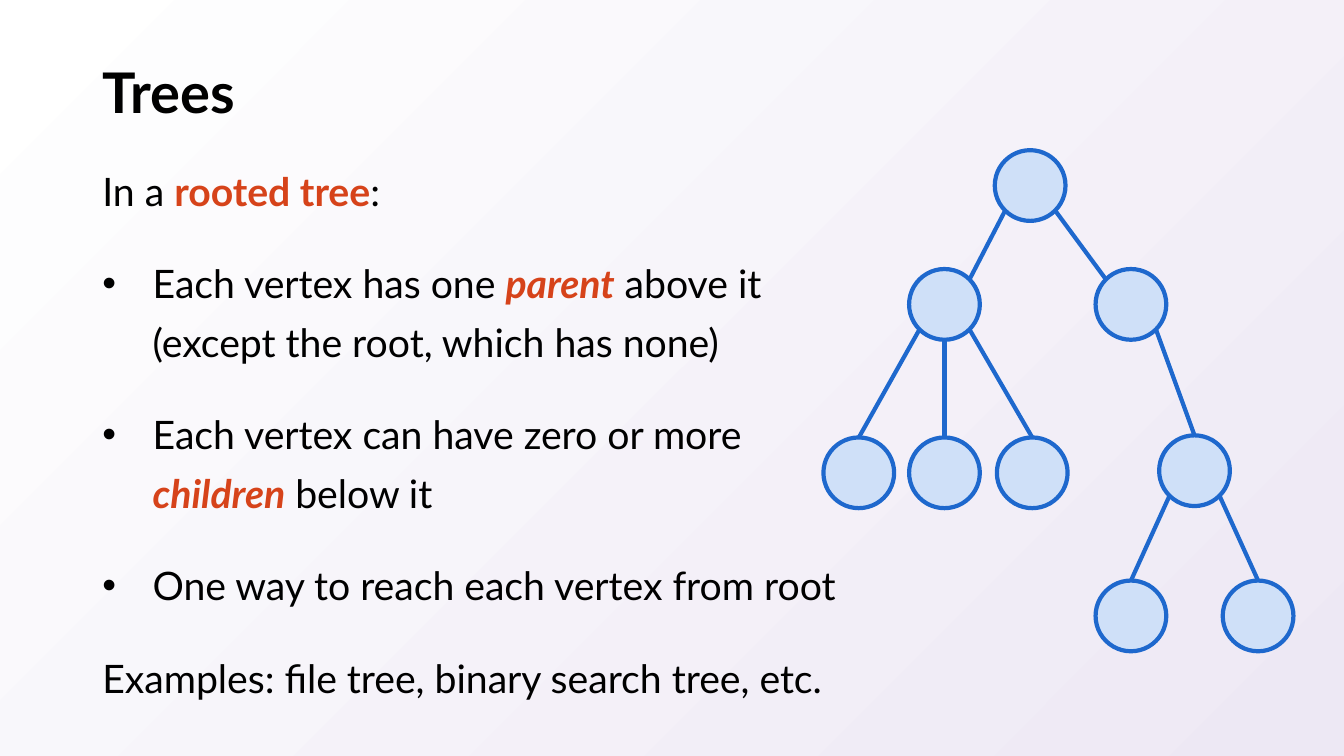
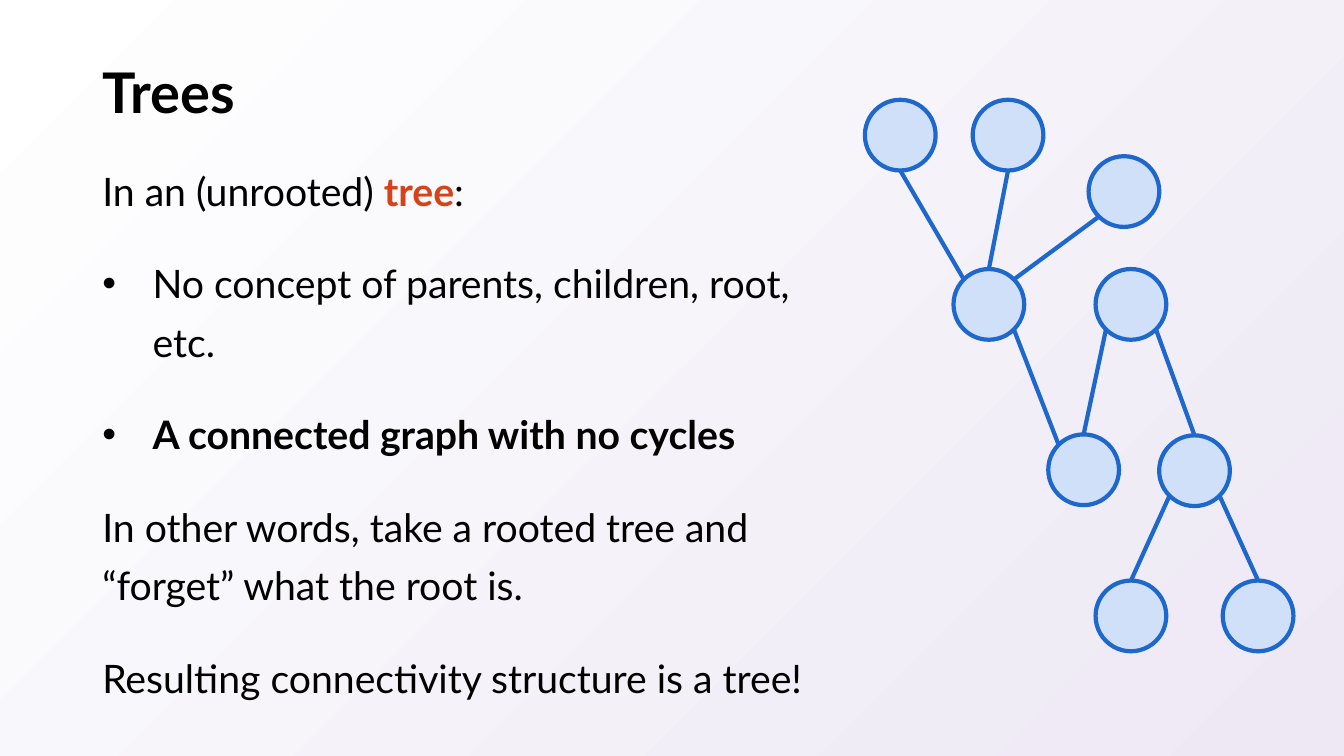
from dataclasses import dataclass
from math import cos, pi, sin

from pptx import Presentation
from pptx.dml.color import RGBColor
from pptx.enum.shapes import MSO_CONNECTOR, MSO_SHAPE
from pptx.enum.text import MSO_ANCHOR
from pptx.oxml.xmlchemy import OxmlElement
from pptx.util import Pt


@dataclass(frozen=True)
class Theme:
    font: str = "Lato"
    ink: str = "000000"
    key: str = "D6431A"
    disc: str = "CFE0F8"
    edge: str = "1E68CD"
    fade: tuple = ("FFFFFF", "EDE8F4")
    title: int = 40
    body: int = 28
    line: int = 3
    node: float = 50.5
    left: float = 66
    hang: int = 36


THEME = Theme()

TOP, UP_LEFT, LEFT, LOW_LEFT, LOW, LOW_RIGHT, RIGHT, UP_RIGHT = range(8)

PLAIN, KEY, TERM, BOLD = "plain", "key", "term", "bold"

BRANCH_NODES = {
    "fork": (782.6, 192.2),
    "stem": (828, 311),
    "leaf1": (782.6, 414.7),
    "leaf2": (873.4, 414.7),
}
BRANCH_EDGES = [
    ("fork", LOW_RIGHT, "stem", TOP),
    ("stem", LOW_LEFT, "leaf1", TOP),
    ("stem", LOW_RIGHT, "leaf2", TOP),
]

ROOTED_TEXT = [
    (False, [("In a ", PLAIN), ("rooted tree", KEY), (":", PLAIN)]),
    (True, [("Each vertex has one ", PLAIN), ("parent", TERM),
            (" above it (except the root, which has none)", PLAIN)]),
    (True, [("Each vertex can have zero or more ", PLAIN),
            ("children", TERM), (" below it", PLAIN)]),
    (True, [("One way to reach each vertex from root", PLAIN)]),
    (False, [("Examples: file tree, binary search tree, etc.", PLAIN)]),
]
ROOTED_NODES = {
    "root": (710.6, 107.3),
    "child": (649.4, 192.2),
    "kid1": (588.2, 312.5),
    "kid2": (649.4, 312.5),
    "kid3": (712.1, 312.5),
}
ROOTED_EDGES = [
    ("root", LOW_LEFT, "child", UP_RIGHT),
    ("root", LOW_RIGHT, "fork", UP_LEFT),
    ("child", LOW_LEFT, "kid1", TOP),
    ("child", LOW, "kid2", TOP),
    ("child", LOW_RIGHT, "kid3", TOP),
]

FREE_TEXT = [
    (False, [("In an (unrooted) ", PLAIN), ("tree", KEY), (":", PLAIN)]),
    (True, [("No concept of parents, children, root, etc.", PLAIN)]),
    (True, [("A connected graph with no cycles", BOLD)]),
    (False, [("In other words, take a rooted tree and “forget” "
              "what the root is.", PLAIN)]),
    (False, [("Resulting connectivity structure is a tree!", PLAIN)]),
]
FREE_NODES = {
    "base": (748.8, 310.3),
    "hub": (681.1, 192.2),
    "tip1": (617.8, 71.3),
    "tip2": (694.8, 71.3),
    "tip3": (777.6, 111.6),
}
FREE_EDGES = [
    ("base", UP_LEFT, "hub", LOW_RIGHT),
    ("base", TOP, "fork", LOW_LEFT),
    ("hub", UP_LEFT, "tip1", LOW),
    ("hub", TOP, "tip2", LOW),
    ("hub", UP_RIGHT, "tip3", LOW_LEFT),
]


def tint(code):
    return RGBColor.from_string(code)


def paint_back(master):
    fill = master.background.fill
    fill.gradient()
    fill.gradient_angle = 315
    for stop, place, code in zip(fill.gradient_stops, (0, 1), THEME.fade):
        stop.position = place
        stop.color.rgb = tint(code)


def add_run(para, text, size, style):
    run = para.add_run()
    run.text = text
    font = run.font
    font.name = THEME.font
    font.size = Pt(size)
    font.bold = style != PLAIN
    font.italic = style == TERM
    font.color.rgb = tint(THEME.key if style in (KEY, TERM) else THEME.ink)


def add_box(slide, top, width, height, anchor):
    box = slide.shapes.add_textbox(Pt(THEME.left), Pt(top), Pt(width), Pt(height))
    frame = box.text_frame
    frame.word_wrap = True
    frame.vertical_anchor = anchor
    return frame


def add_title(slide, text):
    para = add_box(slide, 28.8, 828, 78.5, MSO_ANCHOR.MIDDLE).paragraphs[0]
    para.line_spacing = 0.9
    add_run(para, text, THEME.title, BOLD)


def add_dot(para):
    props = para._p.get_or_add_pPr()
    props.set("marL", str(Pt(THEME.hang)))
    props.set("indent", str(-Pt(THEME.hang)))
    face = OxmlElement("a:buFont")
    face.set("typeface", "Arial")
    mark = OxmlElement("a:buChar")
    mark.set("char", "•")
    props.extend([face, mark])


def add_body(slide, width, paras):
    frame = add_box(slide, 107.3, width, 378.7, MSO_ANCHOR.TOP)
    for rank, (dot, runs) in enumerate(paras):
        para = frame.add_paragraph() if rank else frame.paragraphs[0]
        para.line_spacing = 1.25
        para.space_before = Pt(24 if rank else 0)
        if dot:
            add_dot(para)
        for text, style in runs:
            add_run(para, text, THEME.body, style)


def add_node(slide, spot):
    left, top = spot
    side = Pt(THEME.node)
    node = slide.shapes.add_shape(MSO_SHAPE.OVAL, Pt(left), Pt(top), side, side)
    node.shadow.inherit = False
    node.fill.solid()
    node.fill.fore_color.rgb = tint(THEME.disc)
    node.line.color.rgb = tint(THEME.edge)
    node.line.width = Pt(THEME.line)
    return node


def find_site(node, site):
    turn = site * pi / 4
    half = node.width / 2
    return (round(node.left + half - half * sin(turn)),
            round(node.top + half - half * cos(turn)))


def add_edge(slide, start, out, end, into):
    edge = slide.shapes.add_connector(
        MSO_CONNECTOR.STRAIGHT, *find_site(start, out), *find_site(end, into))
    edge.line.color.rgb = tint(THEME.edge)
    edge.line.width = Pt(THEME.line)
    edge._element.spPr.append(OxmlElement("a:effectLst"))
    props = edge._element.nvCxnSpPr.cNvCxnSpPr
    for tag, node, site in (("a:stCxn", start, out), ("a:endCxn", end, into)):
        link = OxmlElement(tag)
        link.set("id", str(node.shape_id))
        link.set("idx", str(site))
        props.append(link)


def add_graph(slide, spots, edges):
    nodes = {name: add_node(slide, spot) for name, spot in spots.items()}
    for start, out, end, into in edges:
        add_edge(slide, nodes[start], out, nodes[end], into)


def add_slide(deck, width, paras, spots, edges):
    slide = deck.slides.add_slide(deck.slide_layouts[6])
    add_title(slide, "Trees")
    add_body(slide, width, paras)
    add_graph(slide, spots | BRANCH_NODES, edges + BRANCH_EDGES)


def main():
    deck = Presentation()
    deck.slide_width = Pt(960)
    deck.slide_height = Pt(540)
    paint_back(deck.slide_master)
    add_slide(deck, 563.8, ROOTED_TEXT, ROOTED_NODES, ROOTED_EDGES)
    add_slide(deck, 551.5, FREE_TEXT, FREE_NODES, FREE_EDGES)
    deck.save("out.pptx")


if __name__ == "__main__":
    main()
